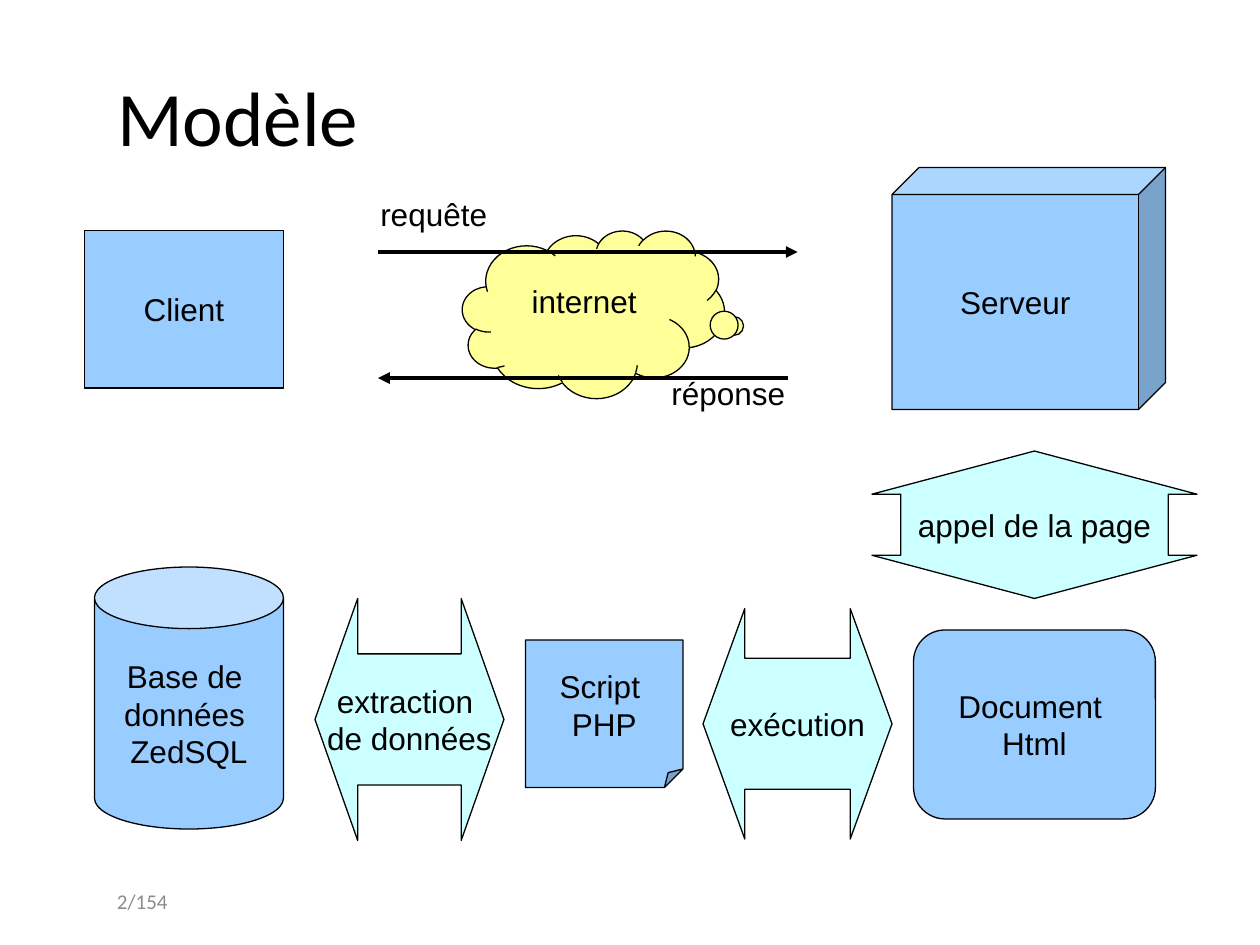
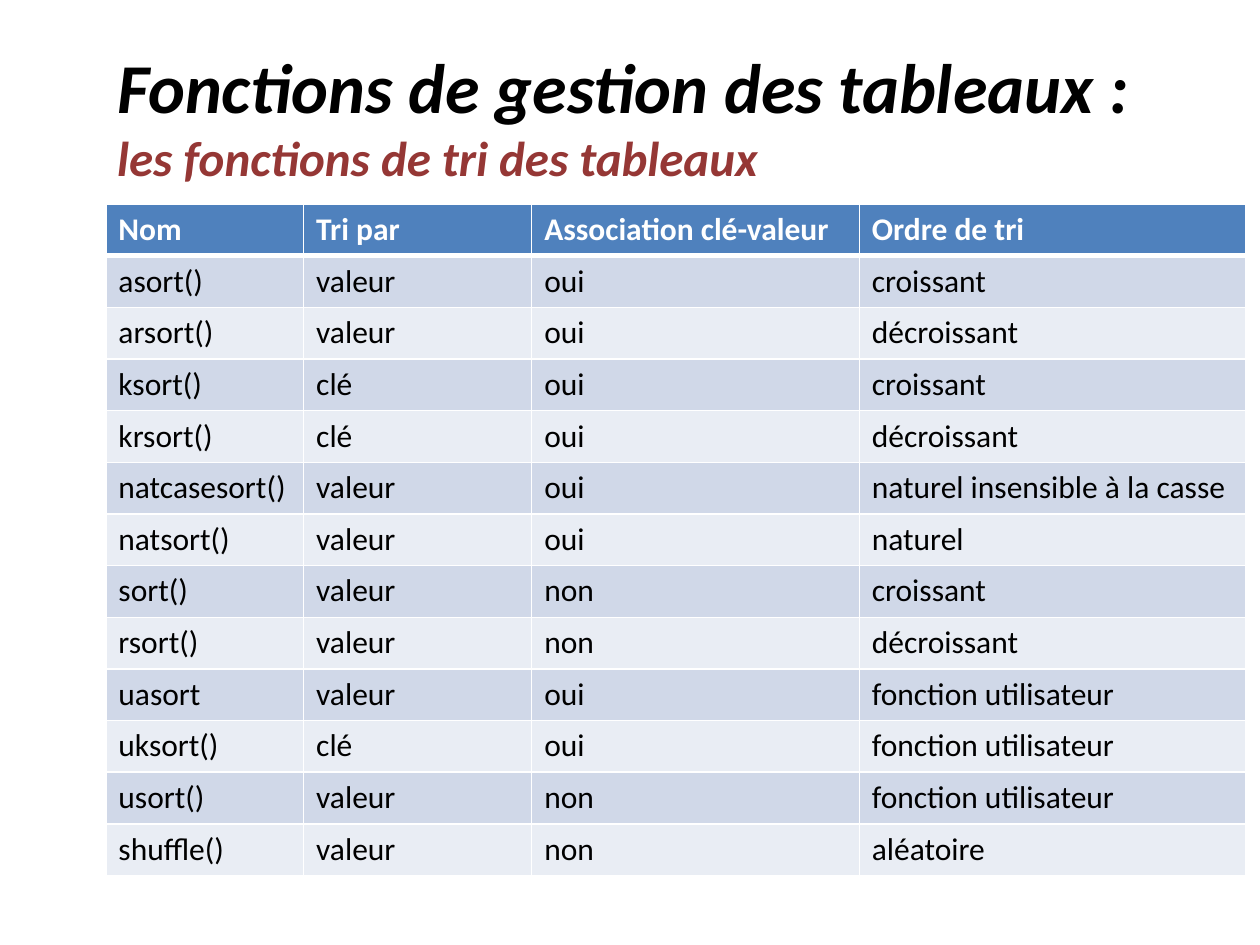
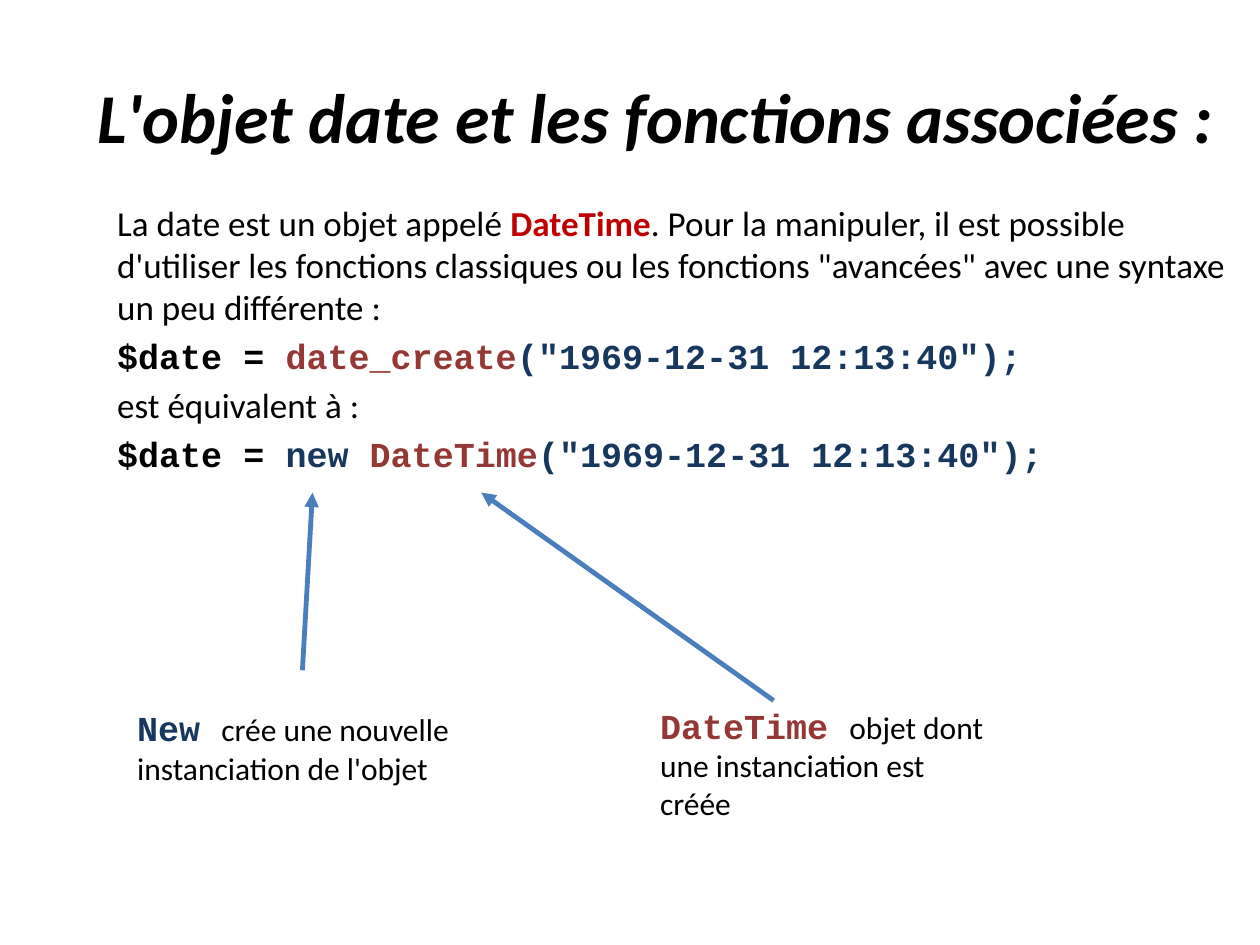
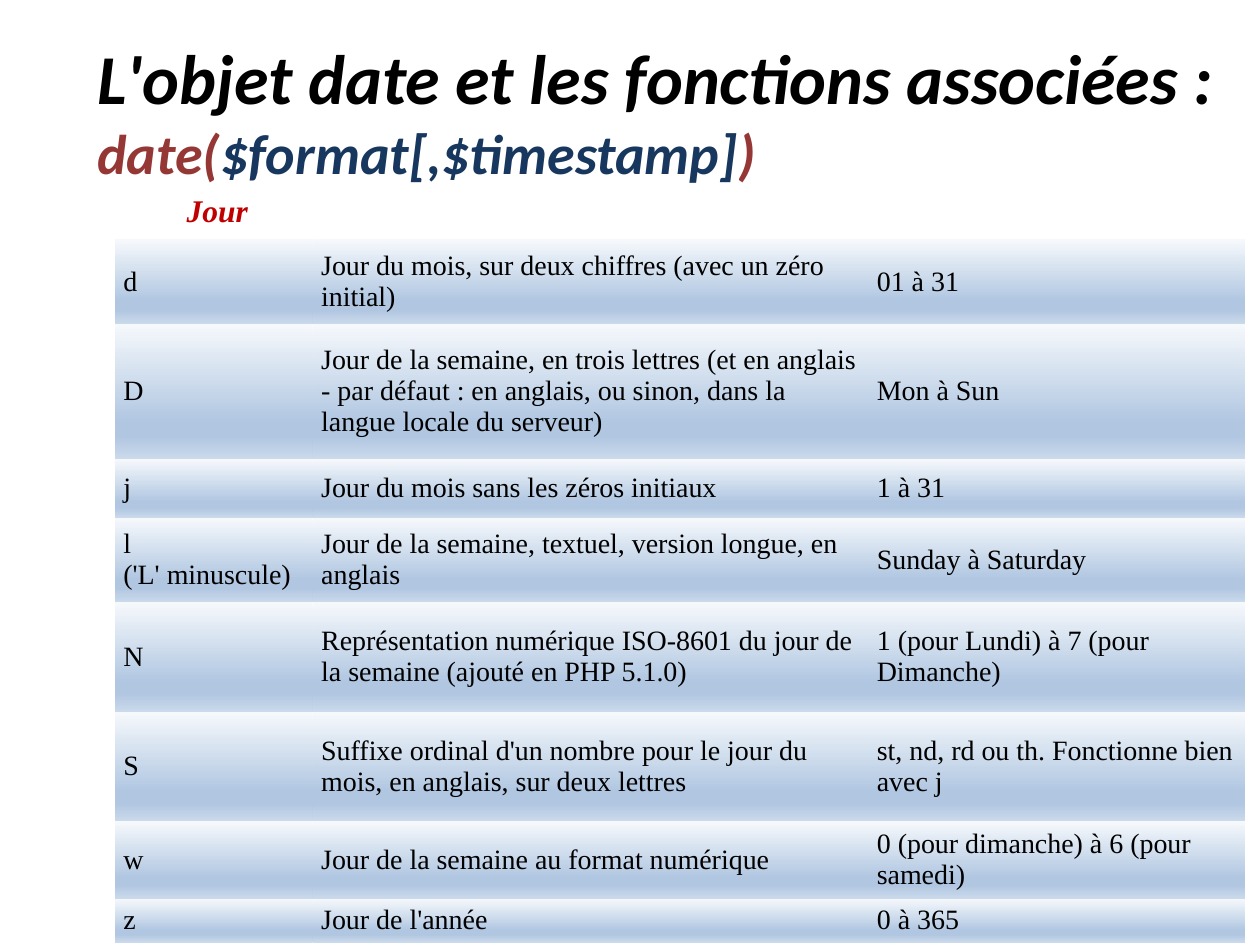
"""Build four PHP course slides: web model, array sorting, DateTime object and day formats."""
from dataclasses import dataclass
from typing import NamedTuple

from pptx import Presentation
from pptx.dml.color import RGBColor
from pptx.enum.shapes import MSO_CONNECTOR, MSO_SHAPE as SHAPE
from pptx.enum.text import MSO_ANCHOR as ANCHOR, MSO_AUTO_SIZE as FIT, PP_ALIGN as ALIGN
from pptx.oxml import parse_xml
from pptx.oxml.ns import nsdecls, qn
from pptx.util import Inches, Pt


class Style(NamedTuple):
    font: str
    size: int
    color: str = "000000"
    bold: bool = False
    italic: bool = False


@dataclass(frozen=True)
class Theme:
    black: str = "000000"
    node: str = "99CCFF"
    flow: str = "CCFFFF"
    cloud: str = "FFFF99"
    pointer: str = "4B7EBC"
    header: str = "4F81BD"
    bands: tuple = ("D0D8E8", "E9EDF4")
    gradient: tuple = ((0, "F6F9FC"), (74, "B0C6E1"), (83, "B0C6E1"), (100, "CAD9EB"))
    plain_title: Style = Style("Calibri", 44)
    title: Style = Style("Calibri", 40, bold=True, italic=True)
    subtitle: Style = Style("Calibri", 28, "953735", True, True)
    signature: Style = Style("Calibri", 32, "953735", True, True)
    argument: Style = Style("Calibri", 32, "17375E", True, True)
    footer: Style = Style("Calibri", 12, "8C8C8C")
    diagram: Style = Style("Arial", 18)
    body: Style = Style("Calibri", 20)
    keyword: Style = Style("Calibri", 20, "C00000", True)
    code: Style = Style("Courier New", 20, bold=True)
    code_name: Style = Style("Courier New", 20, "953735", True)
    code_value: Style = Style("Courier New", 20, "17375E", True)
    small: Style = Style("Calibri", 18)
    head: Style = Style("Calibri", 18, "FFFFFF", True)
    heading: Style = Style("Times New Roman", 18, "C00000", True, True)
    format_cell: Style = Style("Times New Roman", 16)


theme = Theme()
NO_GRID = "{2D5ABB26-0587-4C30-8999-92F81FD0307C}"


def write_text(frame, paragraphs, align=ALIGN.LEFT):
    """Fill a text frame from lists of (text, style) runs; a newline breaks the line."""
    for index, runs in enumerate(paragraphs):
        para = frame.paragraphs[0] if index == 0 else frame.add_paragraph()
        para.alignment = align
        for text, style in runs:
            for part, piece in enumerate(text.split("\n")):
                if part:
                    para.add_line_break()
                if piece:
                    span = para.add_run()
                    span.text = piece
                    span.font.name = style.font
                    span.font.size = Pt(style.size)
                    span.font.bold = style.bold
                    span.font.italic = style.italic
                    span.font.color.rgb = RGBColor.from_string(style.color)


def add_arrow(page, start, end, color, width):
    """Draw a straight arrow with its head at the end point."""
    arrow = page.shapes.add_connector(
        MSO_CONNECTOR.STRAIGHT, *(Inches(value) for value in (*start, *end)))
    arrow.line.color.rgb = RGBColor.from_string(color)
    arrow.line.width = Pt(width)
    arrow.line._get_or_add_ln().append(parse_xml(f'<a:tailEnd {nsdecls("a")} type="triangle"/>'))
    arrow.element.spPr.append(parse_xml(f'<a:effectLst {nsdecls("a")}/>'))


deck = Presentation()
deck.slide_width, deck.slide_height = Inches(10), Inches(7.5)
TITLE_AND_BODY, TITLE_ONLY = deck.slide_layouts[1], deck.slide_layouts[5]

date_title = "L'objet date et les fonctions associées :"
titles = [
    (TITLE_ONLY, (0.83, 0.29, 8.83, 1.25), [("Modèle", theme.plain_title)]),
    (TITLE_ONLY, (0.83, 0.29, 8.83, 1.25),
     [("Fonctions de gestion des tableaux : \n", theme.title),
      ("les fonctions de tri des tableaux", theme.subtitle)]),
    (TITLE_AND_BODY, (0.67, 0.29, 9.33, 1.25), [(date_title, theme.title)]),
    (TITLE_ONLY, (0.67, 0.29, 9.33, 1.17),
     [(date_title + "\n", theme.title), ("date(", theme.signature),
      ("$format[,$timestamp]", theme.argument), (")", theme.signature)]),
]
pages = []
for layout, place, runs in titles:
    page = deck.slides.add_slide(layout)
    title = page.shapes.title
    title.left, title.top, title.width, title.height = map(Inches, place)
    title.text_frame.auto_size = FIT.NONE
    title.text_frame.vertical_anchor = ANCHOR.MIDDLE
    write_text(title.text_frame, [runs])
    pages.append(page)
model_page, sort_page, object_page, format_page = pages

nodes = [
    (SHAPE.RECTANGLE, (0.67, 1.83, 1.58, 1.25), {}, theme.node, ["Client"]),
    (SHAPE.CAN, (0.75, 4.5, 1.5, 2.08), {"adj": 0.326}, theme.node,
     ["Base de ", "données ", "ZedSQL"]),
    (SHAPE.CUBE, (7.08, 1.33, 2.17, 1.92), {"adj": 0.111}, theme.node, ["Serveur"]),
    (SHAPE.FOLDED_CORNER, (4.17, 5.08, 1.25, 1.17), {"adj": 0.125}, theme.node,
     ["Script ", "PHP"]),
    (SHAPE.CLOUD_CALLOUT, (3.67, 1.83, 2.08, 1.33), {"adj1": 0.54, "adj2": 0.07}, theme.cloud,
     ["internet"]),
    (SHAPE.ROUNDED_RECTANGLE, (7.25, 5, 1.92, 1.5), {"adj": 0.167}, theme.node,
     ["Document ", "Html"]),
    (SHAPE.UP_DOWN_ARROW, (6.92, 3.58, 2.58, 1.17), {"adj1": 0.823, "adj2": 0.293}, theme.flow,
     ["appel de la page"]),
    (SHAPE.LEFT_RIGHT_ARROW, (2.5, 4.75, 1.5, 1.92), {"adj1": 0.542, "adj2": 0.226}, theme.flow,
     ["extraction ", "de données"]),
    (SHAPE.LEFT_RIGHT_ARROW, (5.58, 4.83, 1.5, 1.83), {"adj1": 0.568, "adj2": 0.221}, theme.flow,
     ["exécution"]),
]
for kind, place, adjustments, color, lines in nodes:
    node = model_page.shapes.add_shape(kind, *map(Inches, place))
    guides = next(node.element.iter(qn("a:avLst")))
    for guide in list(guides):
        guides.remove(guide)
    for name, value in adjustments.items():
        guides.append(parse_xml(
            f'<a:gd {nsdecls("a")} name="{name}" fmla="val {round(value * 100000)}"/>'))
    node.shadow.inherit = False
    node.fill.solid()
    node.fill.fore_color.rgb = RGBColor.from_string(color)
    node.line.color.rgb = RGBColor.from_string(theme.black)
    node.line.width = Pt(0.75)
    frame = node.text_frame
    if kind == SHAPE.CLOUD_CALLOUT:
        frame.vertical_anchor = ANCHOR.TOP
        frame.margin_top = Inches(0.21)
    else:
        frame.vertical_anchor = ANCHOR.MIDDLE
        frame.word_wrap = False
    write_text(frame, [[(line, theme.diagram)] for line in lines], ALIGN.CENTER)

add_arrow(model_page, (3, 2), (6.33, 2), theme.black, 2.25)
add_arrow(model_page, (6.25, 3), (3, 3), theme.black, 2.25)
add_arrow(object_page, (2.4, 5.32), (2.48, 3.91), theme.pointer, 2.75)
add_arrow(object_page, (6.14, 5.56), (3.82, 3.91), theme.pointer, 2.75)

labels = [
    (model_page, (0.83, 6.95, 2.33, 0.4), ALIGN.LEFT, [("2/154", theme.footer)]),
    (model_page, (2.92, 1.5, 1.5, 0.5), ALIGN.LEFT, [("requête", theme.diagram)]),
    (model_page, (4.83, 2.92, 1.5, 0.5), ALIGN.RIGHT, [("réponse", theme.diagram)]),
    (object_page, (0.99, 5.56, 2.83, 0.74), ALIGN.LEFT,
     [("New ", theme.code_value), ("crée une nouvelle instanciation de l'objet", theme.small)]),
    (object_page, (5.14, 5.54, 2.83, 1.04), ALIGN.LEFT,
     [("DateTime ", theme.code_name), ("objet dont une instanciation est créée", theme.small)]),
    (format_page, (1.38, 1.47, 0.69, 0.4), ALIGN.CENTER, [("Jour", theme.heading)]),
]
for page, place, align, runs in labels:
    box = page.shapes.add_textbox(*map(Inches, place))
    box.text_frame.word_wrap = page is not format_page
    if runs[0][1] is theme.footer:
        box.text_frame.vertical_anchor = ANCHOR.MIDDLE
    else:
        box.text_frame.auto_size = FIT.SHAPE_TO_FIT_TEXT
    write_text(box.text_frame, [runs], align)

body = object_page.placeholders[1]
body.left, body.top, body.width, body.height = map(Inches, (0.83, 1.55, 9.05, 5.67))
body.text_frame.auto_size = FIT.NONE
date_value = ("(\"1969-12-31 12:13:40\");", theme.code_value)
write_text(body.text_frame, [
    [("La date est un objet appelé ", theme.body), ("DateTime", theme.keyword),
     (". Pour la manipuler, il est possible d'utiliser les fonctions classiques ou les "
      "fonctions \"avancées\" avec une syntaxe un peu différente :", theme.body)],
    [("$date = ", theme.code), ("date_create", theme.code_name), date_value],
    [("est équivalent à :", theme.body)],
    [("$date = ", theme.code), ("new ", theme.code_value), ("DateTime", theme.code_name),
     date_value],
])
for para in body.text_frame.paragraphs:
    properties = para._p.get_or_add_pPr()
    properties.set("marL", "0")
    properties.set("indent", "0")
    properties.append(parse_xml(f'<a:buNone {nsdecls("a")}/>'))

sort_rows = [
    ("Nom", "Tri par", "Association clé-valeur", "Ordre de tri"),
    ("asort()", "valeur", "oui", "croissant"),
    ("arsort()", "valeur", "oui", "décroissant"),
    ("ksort()", "clé", "oui", "croissant"),
    ("krsort()", "clé", "oui", "décroissant"),
    ("natcasesort()", "valeur", "oui", "naturel insensible à la casse"),
    ("natsort()", "valeur", "oui", "naturel"),
    ("sort()", "valeur", "non", "croissant"),
    ("rsort()", "valeur", "non", "décroissant"),
    ("uasort", "valeur", "oui", "fonction utilisateur"),
    ("uksort()", "clé", "oui", "fonction utilisateur"),
    ("usort()", "valeur", "non", "fonction utilisateur"),
    ("shuffle()", "valeur", "non", "aléatoire"),
]
format_rows = [
    ("d", "Jour du mois, sur deux chiffres (avec un zéro initial)", "01 à 31"),
    ("D", "Jour de la semaine, en trois lettres (et en anglais - par défaut : en anglais, "
     "ou sinon, dans la langue locale du serveur)", "Mon à Sun"),
    ("j", "Jour du mois sans les zéros initiaux", "1 à 31"),
    ("l \n('L' minuscule)", "Jour de la semaine, textuel, version longue, en anglais",
     "Sunday à Saturday"),
    ("N", "Représentation numérique ISO-8601 du jour de la semaine (ajouté en PHP 5.1.0)",
     "1 (pour Lundi) à 7 (pour Dimanche)"),
    ("S", "Suffixe ordinal d'un nombre pour le jour du mois, en anglais, sur deux lettres",
     "st, nd, rd ou th. Fonctionne bien avec j"),
    ("w", "Jour de la semaine au format numérique", "0 (pour dimanche) à 6 (pour samedi)"),
    ("z", "Jour de l'année", "0 à 365"),
]
grids = [
    (sort_page, (0.84, 1.62, 9.05, 5.27), (1.57, 1.81, 2.6, 3.07), [0.41] * 13, sort_rows),
    (format_page, (0.91, 1.9, 8.98, 5.37), (1.57, 4.41, 2.99),
     (0.67, 1.07, 0.47, 0.67, 0.87, 0.87, 0.48, 0.27), format_rows),
]
stops = "".join(f'<a:gs pos="{position * 1000}"><a:srgbClr val="{color}"/></a:gs>'
                for position, color in theme.gradient)
for page, place, widths, heights, rows in grids:
    holder = page.shapes.add_table(len(rows), len(widths), *map(Inches, place))
    next(holder.element.iter(qn("a:tableStyleId"))).text = NO_GRID
    table = holder.table
    table.horz_banding = False
    table.first_row = page is sort_page
    for column, width in zip(table.columns, widths):
        column.width = Inches(width)
    for row, height in zip(table.rows, heights):
        row.height = Inches(height)
    for row_index, texts in enumerate(rows):
        for column_index, text in enumerate(texts):
            cell = table.cell(row_index, column_index)
            properties = cell._tc.get_or_add_tcPr()
            if page is sort_page:
                for side in "LRTB":
                    thick = (side, row_index) in (("B", 0), ("T", 1))
                    properties.append(parse_xml(
                        f'<a:ln{side} {nsdecls("a")} w="{Pt(3 if thick else 1)}"><a:solidFill>'
                        f'<a:srgbClr val="FFFFFF"/></a:solidFill></a:ln{side}>'))
                style = theme.small if row_index else theme.head
                color = theme.bands[(row_index - 1) % 2] if row_index else theme.header
                cell.fill.solid()
                cell.fill.fore_color.rgb = RGBColor.from_string(color)
            else:
                style = theme.format_cell
                cell.vertical_anchor = ANCHOR.MIDDLE
                cell.margin_left = cell.margin_right = Inches(0.07)
                cell.margin_top = cell.margin_bottom = Inches(0.04)
                properties.append(parse_xml(
                    f'<a:gradFill {nsdecls("a")} rotWithShape="1"><a:gsLst>{stops}</a:gsLst>'
                    '<a:lin ang="5400000" scaled="0"/></a:gradFill>'))
            write_text(cell.text_frame, [[(text, style)]])

deck.save("out.pptx")
